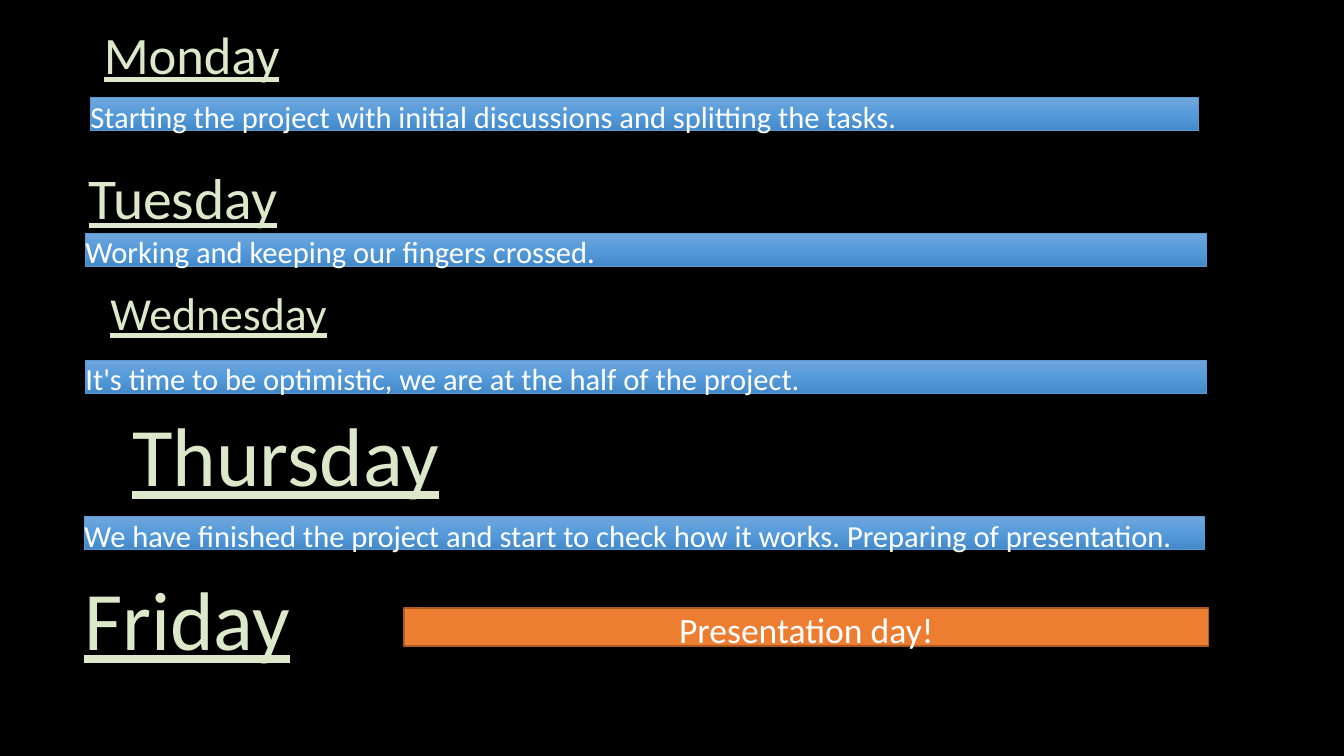
from copy import deepcopy
from typing import NamedTuple

from pptx import Presentation
from pptx.dml.color import RGBColor
from pptx.enum.shapes import MSO_SHAPE
from pptx.enum.text import MSO_ANCHOR, PP_ALIGN
from pptx.oxml.ns import qn
from pptx.shapes.autoshape import Shape
from pptx.slide import Slide
from pptx.util import Inches, Pt

BLACK = RGBColor(0x00, 0x00, 0x00)
WHITE = RGBColor(0xFF, 0xFF, 0xFF)
PALE_GREEN = RGBColor(0xDD, 0xE8, 0xCB)
LIGHT_BLUE = RGBColor(0x70, 0xA6, 0xDB)
MIDDLE_BLUE = RGBColor(0x55, 0x9B, 0xDB)
DEEP_BLUE = RGBColor(0x44, 0x8A, 0xC9)
EDGE_BLUE = RGBColor(0x5B, 0x9B, 0xD5)
ORANGE = RGBColor(0xED, 0x7D, 0x31)
EDGE_ORANGE = RGBColor(0xAD, 0x5B, 0x24)
FONT = "Calibri"


class Day(NamedTuple):
    name: str
    left: float
    top: float
    width: float
    height: float
    size: float
    align: PP_ALIGN = PP_ALIGN.CENTER


class Task(NamedTuple):
    text: str
    left: float
    top: float
    width: float = 9.18
    height: float = 0.27


DAYS = [
    Day("Monday", 0.72, 0.12, 1.7, 0.63, 31),
    Day("Tuesday", 0.35, 1.36, 2.3, 0.5, 34),
    Day("Wednesday", 0.69, 2.26, 2.2, 0.6, 27),
    Day("Thursday", 0.69, 3.3, 3.3, 0.83, 49),
    Day("Friday", 0.69, 4.64, 2.43, 0.83, 49, PP_ALIGN.LEFT),
]
TASKS = [
    Task("Starting the project with initial discussions and splitting the tasks.", 0.74, 0.8, 9.08),
    Task("Working and keeping our fingers crossed.", 0.7, 1.91),
    Task("It's time to be optimistic, we are at the half of the project.", 0.7, 2.95),
    Task("We have finished the project and start to check how it works. "
         "Preparing of presentation.", 0.69, 4.23),
]
FINALE = Task("Presentation day!", 3.31, 4.98, 6.59, 0.31)


def write(box: Shape, text: str, size: float, color: RGBColor, align: PP_ALIGN,
          anchor: MSO_ANCHOR, underline: bool = False) -> None:
    frame = box.text_frame
    frame.word_wrap = True
    frame.vertical_anchor = anchor
    frame.margin_left = frame.margin_right = frame.margin_top = frame.margin_bottom = 0
    para = frame.paragraphs[0]
    para.alignment = align
    span = para.add_run()
    span.text = text
    span.font.name = FONT
    span.font.size = Pt(size)
    span.font.underline = underline
    span.font.color.rgb = color


def add_day(page: Slide, day: Day) -> None:
    box = page.shapes.add_textbox(
        Inches(day.left), Inches(day.top), Inches(day.width), Inches(day.height))
    write(box, day.name, day.size, PALE_GREEN, day.align, MSO_ANCHOR.MIDDLE, underline=True)


def add_bar(page: Slide, task: Task, edge: RGBColor, edge_width: float,
            size: float, align: PP_ALIGN) -> Shape:
    bar = page.shapes.add_shape(
        MSO_SHAPE.RECTANGLE,
        Inches(task.left), Inches(task.top), Inches(task.width), Inches(task.height))
    bar.shadow.inherit = False
    bar.line.color.rgb = edge
    bar.line.width = Pt(edge_width)
    write(bar, task.text, size, WHITE, align, MSO_ANCHOR.TOP)
    return bar


def fill_blue_gradient(bar: Shape) -> None:
    bar.fill.gradient()
    bar.fill.gradient_angle = 270
    stop_list = next(bar.element.iter(qn("a:gsLst")))
    stop_list.insert(1, deepcopy(stop_list[0]))
    colors = (LIGHT_BLUE, MIDDLE_BLUE, DEEP_BLUE)
    for stop, color, position in zip(bar.fill.gradient_stops, colors, (0, 0.5, 1)):
        stop.color.rgb = color
        stop.position = position


def main() -> None:
    deck = Presentation()
    deck.slide_width = Inches(11.01)
    deck.slide_height = Inches(6.19)
    page = deck.slides.add_slide(deck.slide_layouts[6])
    page.background.fill.solid()
    page.background.fill.fore_color.rgb = BLACK

    for day in DAYS:
        add_day(page, day)
    for task in TASKS:
        fill_blue_gradient(add_bar(page, task, EDGE_BLUE, 0.5, 18, PP_ALIGN.LEFT))
    finale_bar = add_bar(page, FINALE, EDGE_ORANGE, 1, 21, PP_ALIGN.CENTER)
    finale_bar.fill.solid()
    finale_bar.fill.fore_color.rgb = ORANGE

    deck.save("out.pptx")


if __name__ == "__main__":
    main()
